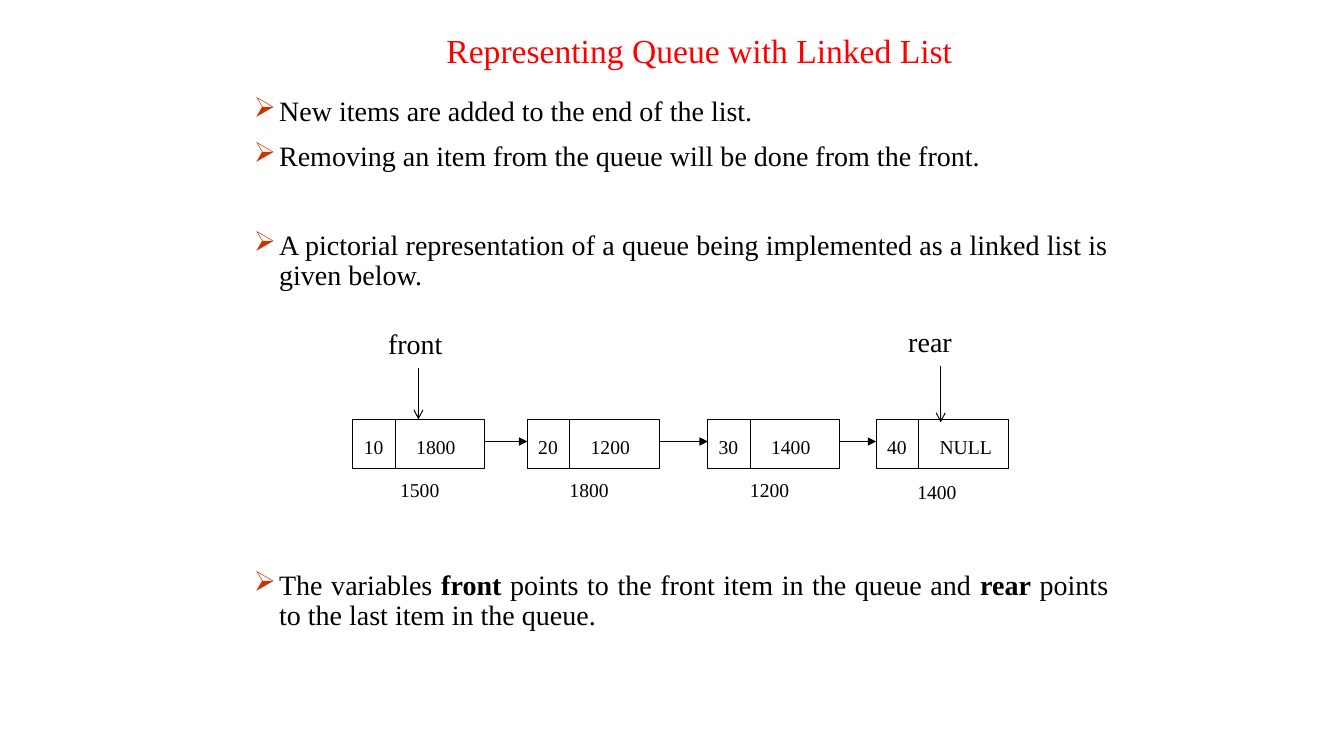
from dataclasses import dataclass

from lxml import etree
from pptx import Presentation
from pptx.dml.color import RGBColor
from pptx.enum.shapes import MSO_CONNECTOR, MSO_SHAPE
from pptx.enum.text import PP_ALIGN
from pptx.oxml.ns import qn
from pptx.util import Inches, Pt

RECTANGLE = MSO_SHAPE.RECTANGLE
STRAIGHT = MSO_CONNECTOR.STRAIGHT
JUSTIFY = PP_ALIGN.JUSTIFY


@dataclass(frozen=True)
class Theme:
    font: str = "Times New Roman"
    ink: str = "000000"
    title: str = "FF0000"
    bullet: str = "CC3300"
    paper: str = "FFFFFF"
    title_size: int = 24
    body_size: int = 20
    node_size: int = 14
    line_width: float = 0.75


THEME = Theme()

# Content: bullets are (space before in points, [(text, bold), ...])
TITLE = "Representing Queue with Linked List"
BULLETS = [
    (0, [("New items are added to the end of the list. ", False)]),
    (10, [("Removing an item from the queue will be done from the front.", False)]),
    (42, [("A pictorial representation of a queue being implemented as a "
           "linked list is given below. ", False)]),
    (200, [("The variables ", False), ("front", True),
           (" points to the front item in the queue and ", False), ("rear", True),
           (" points to the last item in the queue.", False)]),
]
# Nodes: left edge, value, link, link width, address, address offset (x, y)
NODES = [
    (3.5, "10", "1800", 0.6, "1500", (0.37, 0.53)),
    (5.23, "20", "1200", 0.6, "1800", (0.32, 0.53)),
    (7.02, "30", "1400", 0.6, "1200", (0.32, 0.53)),
    (8.69, "40", "NULL", 0.72, "1400", (0.31, 0.55)),
]
# Pointers: name, label left, top and width, arrow x, arrow end
POINTERS = [
    ("front", 3.75, 3.19, 0.75, 4.15, 4.16),
    ("rear", 8.91, 3.17, 0.64, 9.33, 4.19),
]

# Diagram measures
NODE_TOP, NODE_WIDTH, NODE_HEIGHT = 4.16, 1.31, 0.49
VALUE_WIDTH = 0.42
LINK_Y = 4.38
LABEL_HEIGHT, POINTER_HEIGHT = 0.34, 0.44

deck = Presentation()
deck.slide_width, deck.slide_height = Inches(13.33), Inches(7.5)
page = deck.slides.add_slide(deck.slide_layouts[6])


def color(code):
    return RGBColor.from_string(code)


def add_span(para, text, size, ink=THEME.ink, bold=False):
    span = para.add_run()
    span.text = text
    span.font.name = THEME.font
    span.font.size = Pt(size)
    span.font.bold = bold
    span.font.color.rgb = color(ink)


def add_frame(left, top, width, height, wrap=False):
    box = page.shapes.add_textbox(*map(Inches, (left, top, width, height)))
    box.text_frame.word_wrap = wrap
    return box.text_frame


def add_label(text, left, top, width, height, size, ink=THEME.ink):
    frame = add_frame(left, top, width, height)
    add_span(frame.paragraphs[0], text, size, ink)


def add_line(x1, y1, x2, y2, head=None):
    line = page.shapes.add_connector(STRAIGHT, *map(Inches, (x1, y1, x2, y2)))
    line.line.color.rgb = color(THEME.ink)
    line.line.width = Pt(THEME.line_width)
    if head:
        etree.SubElement(line.line._get_or_add_ln(), qn("a:tailEnd"), type=head)
    etree.SubElement(line._element.spPr, qn("a:effectLst"))


def add_bullet(para):
    props = para._p.get_or_add_pPr()
    props.set("marL", str(Inches(0.25)))
    props.set("indent", str(-Inches(0.25)))
    tint = etree.SubElement(props, qn("a:buClr"))
    etree.SubElement(tint, qn("a:srgbClr"), val=THEME.bullet)
    etree.SubElement(props, qn("a:buChar"), char="➢")


# Bulleted text
body = add_frame(2.42, 0.92, 8.67, 5.75, wrap=True)
for index, (gap, spans) in enumerate(BULLETS):
    para = body.add_paragraph() if index else body.paragraphs[0]
    add_bullet(para)
    para.alignment = JUSTIFY
    para.line_spacing = 0.9
    para.space_before = Pt(gap)
    for text, bold in spans:
        add_span(para, text, THEME.body_size, bold=bold)

# Title
add_label(TITLE, 4.33, 0.25, 5.26, 0.5, THEME.title_size, THEME.title)

# List nodes
for left, value, link, link_width, address, (shift_x, shift_y) in NODES:
    node = page.shapes.add_shape(
        RECTANGLE, *map(Inches, (left, NODE_TOP, NODE_WIDTH, NODE_HEIGHT)))
    node.shadow.inherit = False
    node.fill.solid()
    node.fill.fore_color.rgb = color(THEME.paper)
    node.line.color.rgb = color(THEME.ink)
    node.line.width = Pt(THEME.line_width)
    divider = left + VALUE_WIDTH
    add_line(divider, NODE_TOP, divider, NODE_TOP + NODE_HEIGHT)
    for text, x, y, width in (
            (value, left + 0.01, NODE_TOP + 0.11, 0.4),
            (link, left + 0.53, NODE_TOP + 0.11, link_width),
            (address, left + shift_x, NODE_TOP + shift_y, 0.6)):
        add_label(text, x, y, width, LABEL_HEIGHT, THEME.node_size)

# Links between neighbouring nodes
for here, following in zip(NODES, NODES[1:]):
    add_line(here[0] + NODE_WIDTH, LINK_Y, following[0], LINK_Y, "triangle")

# Front and rear pointers
for name, left, top, width, arrow_x, arrow_end in POINTERS:
    add_label(name, left, top, width, POINTER_HEIGHT, THEME.body_size)
    add_line(arrow_x, top + POINTER_HEIGHT + 0.02, arrow_x, arrow_end, "arrow")

deck.save("out.pptx")
